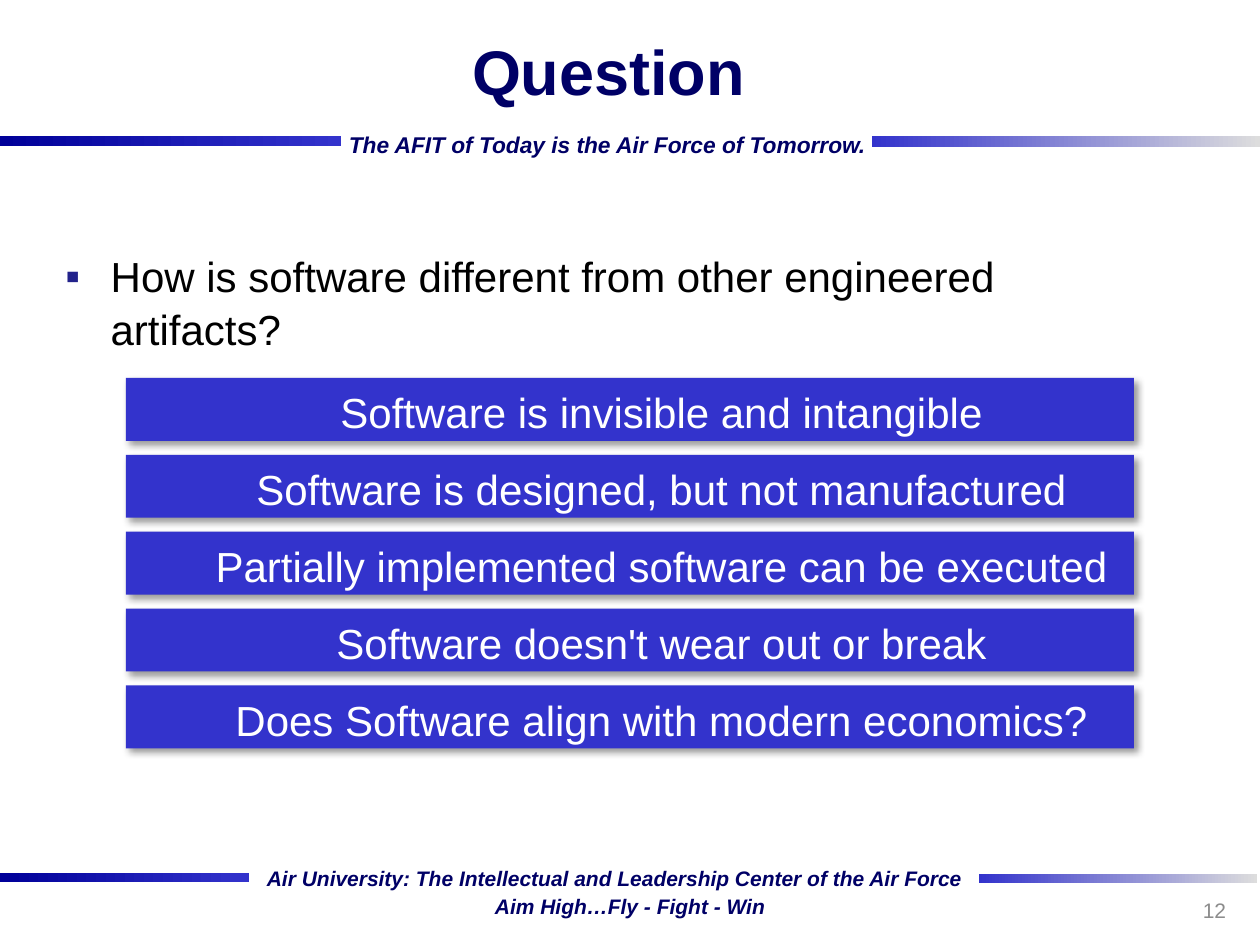
from lxml import etree
from pptx import Presentation
from pptx.dml.color import RGBColor
from pptx.enum import shapes, text
from pptx.oxml import ns
from pptx.util import Inches, Pt

COLORS = {
    "navy": "000066", "deep": "000099", "blue": "3333CC", "pale": "DDDDDD",
    "bullet": "22228B", "black": "000000", "gray": "8C8C8C", "white": "FFFFFF",
}
FONT = "Arial"

TITLE = "Question"
QUESTION = "How is software different from other engineered artifacts?"
ANSWERS = [
    "Software is invisible and intangible",
    "Software is designed, but not manufactured",
    "Partially implemented software can be executed",
    "Software doesn't wear out or break",
    "Does Software align with modern economics?",
]
ANSWER_TOP, ANSWER_STEP = 3, 0.61
PAGE_NUMBER = "12"

# (left, top, width, height), start colour, end colour
RULES = [
    ((0, 1.08, 2.71, 0.08), "deep", "blue"),
    ((6.92, 1.08, 3.08, 0.09), "blue", "pale"),
    ((0, 6.93, 1.98, 0.07), "deep", "blue"),
    ((7.77, 6.94, 2.21, 0.07), "blue", "pale"),
]
# text, (left, top, width, height), size
MOTTOS = [
    ("The AFIT of Today is the Air Force of Tomorrow.", (2.67, 0.99, 4.35, 0.31), 13),
    ("Air University: The Intellectual and Leadership Center of the Air Force",
     (2.02, 6.82, 5.76, 0.29), 12),
    ("Aim High…Fly - Fight - Win", (3.83, 7.04, 2.36, 0.29), 12),
]


def rgb(name):
    return RGBColor.from_string(COLORS[name])


def add_element(parent, tag, **attrs):
    return etree.SubElement(parent, ns.qn(tag), {k: str(v) for k, v in attrs.items()})


def write(sp, words, size, color, align="LEFT", anchor="TOP", wrap=True,
          bold=False, italic=False):
    tf = sp.text_frame
    tf.word_wrap = wrap
    tf.vertical_anchor = getattr(text.MSO_ANCHOR, anchor)
    p = tf.paragraphs[0]
    p.alignment = getattr(text.PP_ALIGN, align)
    r = p.add_run()
    r.text = words
    r.font.name, r.font.size = FONT, Pt(size)
    r.font.bold, r.font.italic = bold, italic
    r.font.color.rgb = rgb(color)
    return p


def add_text(slide, box, *args, **kwargs):
    sp = slide.shapes.add_textbox(*map(Inches, box))
    return sp, write(sp, *args, **kwargs)


def add_rect(slide, box):
    sp = slide.shapes.add_shape(shapes.MSO_SHAPE.RECTANGLE, *map(Inches, box))
    sp.shadow.inherit = False
    sp.line.fill.background()
    return sp


def add_rule(slide, box, start, end):
    fill = add_rect(slide, box).fill
    fill.gradient()
    fill.gradient_angle = 0
    for stop, name in zip(fill.gradient_stops, (start, end)):
        stop.color.rgb = rgb(name)


def add_shadow(sp):
    effects = sp.element.spPr.find(ns.qn("a:effectLst"))
    shadow = add_element(effects, "a:outerShdw", blurRad=Pt(4), dist=Pt(3),
                         dir=45 * 60000, algn="tl", rotWithShape=0)
    color = add_element(shadow, "a:srgbClr", val=COLORS["black"])
    add_element(color, "a:alpha", val=40000)


def add_answer(slide, row, words):
    sp = add_rect(slide, (1, ANSWER_TOP + row * ANSWER_STEP, 8, 0.5))
    sp.fill.solid()
    sp.fill.fore_color.rgb = rgb("blue")
    add_shadow(sp)
    p = write(sp, words, 24, "white", align="CENTER")
    p.line_spacing = 1.05
    p.level = 1
    p._p.get_or_add_pPr().set("marL", str(Inches(0.5)))


def add_question(slide):
    sp, p = add_text(slide, (0.42, 1.42, 8.99, 5.33), QUESTION, 24, "black")
    sp.text_frame.margin_top = Inches(0.55)
    p.line_spacing = 1.05
    pPr = p._p.get_or_add_pPr()
    pPr.set("marL", str(Inches(0.36)))
    pPr.set("indent", str(-Inches(0.36)))
    color = add_element(pPr, "a:buClr")
    add_element(color, "a:srgbClr", val=COLORS["bullet"])
    add_element(pPr, "a:buFont", typeface=FONT)
    add_element(pPr, "a:buChar", char="▪")


def main():
    prs = Presentation()
    prs.slide_width, prs.slide_height = Inches(10), Inches(7.5)
    slide = prs.slides.add_slide(prs.slide_layouts[6])

    for rule in RULES:
        add_rule(slide, *rule)
    for words, box, size in MOTTOS:
        add_text(slide, box, words, size, "navy", wrap=False, bold=True, italic=True)
    add_text(slide, (0.58, 0, 8.5, 1.12), TITLE, 36, "navy",
             align="CENTER", anchor="MIDDLE", bold=True)
    add_question(slide)
    add_text(slide, (7.5, 7.02, 2.33, 0.4), PAGE_NUMBER, 12, "gray",
             align="RIGHT", anchor="MIDDLE")
    for row, words in enumerate(ANSWERS):
        add_answer(slide, row, words)

    prs.save("out.pptx")


if __name__ == "__main__":
    main()
